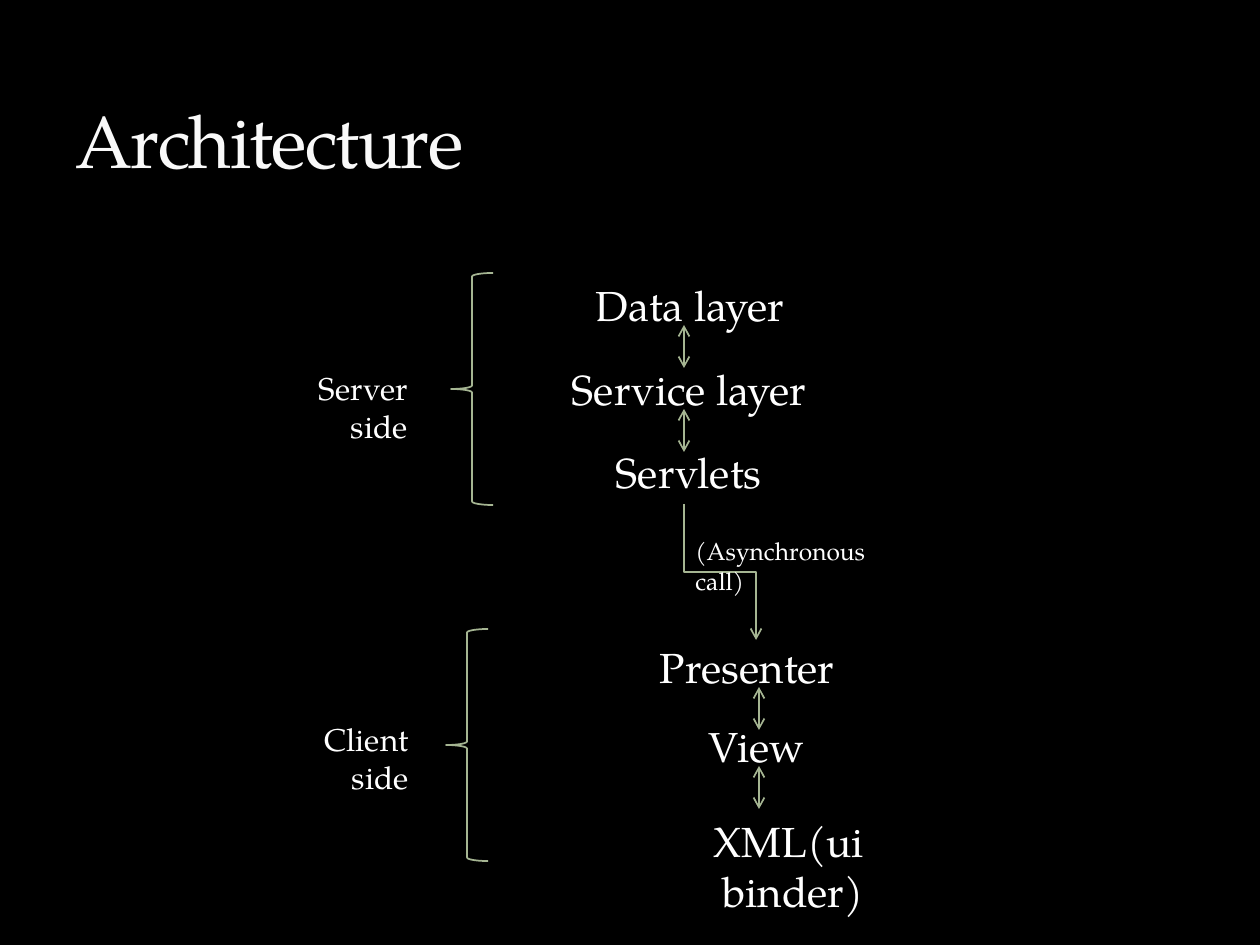
from dataclasses import dataclass

from lxml import etree
from pptx import Presentation
from pptx.dml.color import RGBColor
from pptx.enum.shapes import MSO_CONNECTOR, MSO_SHAPE
from pptx.enum.text import MSO_ANCHOR, PP_ALIGN
from pptx.oxml.ns import qn
from pptx.util import Emu, Pt

STRAIGHT, ELBOW = MSO_CONNECTOR.STRAIGHT, MSO_CONNECTOR.ELBOW
LEFT_BRACE = MSO_SHAPE.LEFT_BRACE
LEFT, RIGHT = PP_ALIGN.LEFT, PP_ALIGN.RIGHT
TOP, BOTTOM = MSO_ANCHOR.TOP, MSO_ANCHOR.BOTTOM


@dataclass(frozen=True)
class Theme:
    font: str = "TeX Gyre Pagella"
    background: RGBColor = RGBColor(0x00, 0x00, 0x00)
    title: RGBColor = RGBColor(0xF9, 0xF9, 0xF9)
    text: RGBColor = RGBColor(0xFF, 0xFF, 0xFF)
    line: RGBColor = RGBColor(0xA5, 0xB5, 0x92)
    title_size: int = 42
    layer_size: int = 24
    side_size: int = 18
    call_size: int = 14
    line_width: int = 1


THEME = Theme()
PX = 914400 / 126
SLIDE_SIZE = (1260, 945)

# Boxes are (left, top, width, height) in px.
TITLE = ("Architecture", (63, 21, 1134, 168))
CALL = ("(Asynchronous call)", (683, 530, 220, 43))
CALL_START, CALL_END = (684, 504), (756, 640)
SIDES = [
    {
        "label": ("Server side", (252, 363, 168, 50)),
        "brace": (451, 273),
        "arrow_x": 684,
        "layers": [
            ("Data layer", (535, 273, 262, 63)),
            ("Service layer", (535, 357, 284, 63)),
            ("Servlets", (586, 440, 188, 63)),
        ],
    },
    {
        "label": ("Client side", (261, 714, 160, 50)),
        "brace": (446, 629),
        "arrow_x": 759,
        "layers": [
            ("Presenter", (643, 635, 204, 63)),
            ("View", (688, 714, 129, 63)),
            ("XML(ui binder)", (566, 809, 310, 115)),
        ],
    },
]
BRACE_SIZE = (42, 232)
ARROW_OFFSET, ARROW_LENGTH = 52, 43


def px(*lengths):
    return [Emu(round(length * PX)) for length in lengths]


def add_text(slide, text, box, *, size, color=THEME.text, align=RIGHT,
             anchor=TOP, spacing=None):
    frame = slide.shapes.add_textbox(*px(*box)).text_frame
    frame.word_wrap = True
    frame.vertical_anchor = anchor
    paragraph = frame.paragraphs[0]
    paragraph.alignment = align
    run = paragraph.add_run()
    run.text = text
    run.font.name = THEME.font
    run.font.size = Pt(size)
    run.font.color.rgb = color
    if spacing is not None:
        run.font._element.set("spc", str(spacing * 100))


def style_line(line):
    line.color.rgb = THEME.line
    line.width = Pt(THEME.line_width)


def add_arrow(slide, kind, start, end, ends=("headEnd", "tailEnd")):
    arrow = slide.shapes.add_connector(kind, *px(*start, *end))
    style_line(arrow.line)
    outline = arrow.line._get_or_add_ln()
    for name in ends:
        etree.SubElement(outline, qn(f"a:{name}"), type="arrow")
    etree.SubElement(arrow._element.spPr, qn("a:effectLst"))
    return arrow


def add_vertical_elbow(slide, start, end):
    """Draw an elbow that leaves and arrives vertically: a flipped one turned by 270°."""
    (x1, y1), (x2, y2) = start, end
    center_x, center_y = (x1 + x2) / 2, (y1 + y2) / 2
    half_width, half_height = (y2 - y1) / 2, (x2 - x1) / 2
    elbow = add_arrow(
        slide, ELBOW,
        (center_x + half_width, center_y - half_height),
        (center_x - half_width, center_y + half_height),
        ends=("tailEnd",),
    )
    elbow._element.spPr.find(qn("a:xfrm")).set("rot", str(270 * 60000))


def add_brace(slide, corner):
    brace = slide.shapes.add_shape(LEFT_BRACE, *px(*corner, *BRACE_SIZE))
    brace.shadow.inherit = False
    brace.fill.background()
    style_line(brace.line)


def add_side(slide, side):
    for text, box in side["layers"]:
        add_text(slide, text, box, size=THEME.layer_size)
    x = side["arrow_x"]
    for _, (_, layer_top, _, _) in side["layers"][:-1]:
        top = layer_top + ARROW_OFFSET
        add_arrow(slide, STRAIGHT, (x, top), (x, top + ARROW_LENGTH))
    add_brace(slide, side["brace"])
    add_text(slide, *side["label"], size=THEME.side_size)


def main():
    deck = Presentation()
    deck.slide_width, deck.slide_height = px(*SLIDE_SIZE)
    slide = deck.slides.add_slide(deck.slide_layouts[6])
    slide.background.fill.solid()
    slide.background.fill.fore_color.rgb = THEME.background

    add_text(slide, *TITLE, size=THEME.title_size, color=THEME.title,
             align=LEFT, anchor=BOTTOM, spacing=-1)
    for side in SIDES:
        add_side(slide, side)
    add_vertical_elbow(slide, CALL_START, CALL_END)
    add_text(slide, *CALL, size=THEME.call_size, align=LEFT)
    deck.save("out.pptx")


if __name__ == "__main__":
    main()
